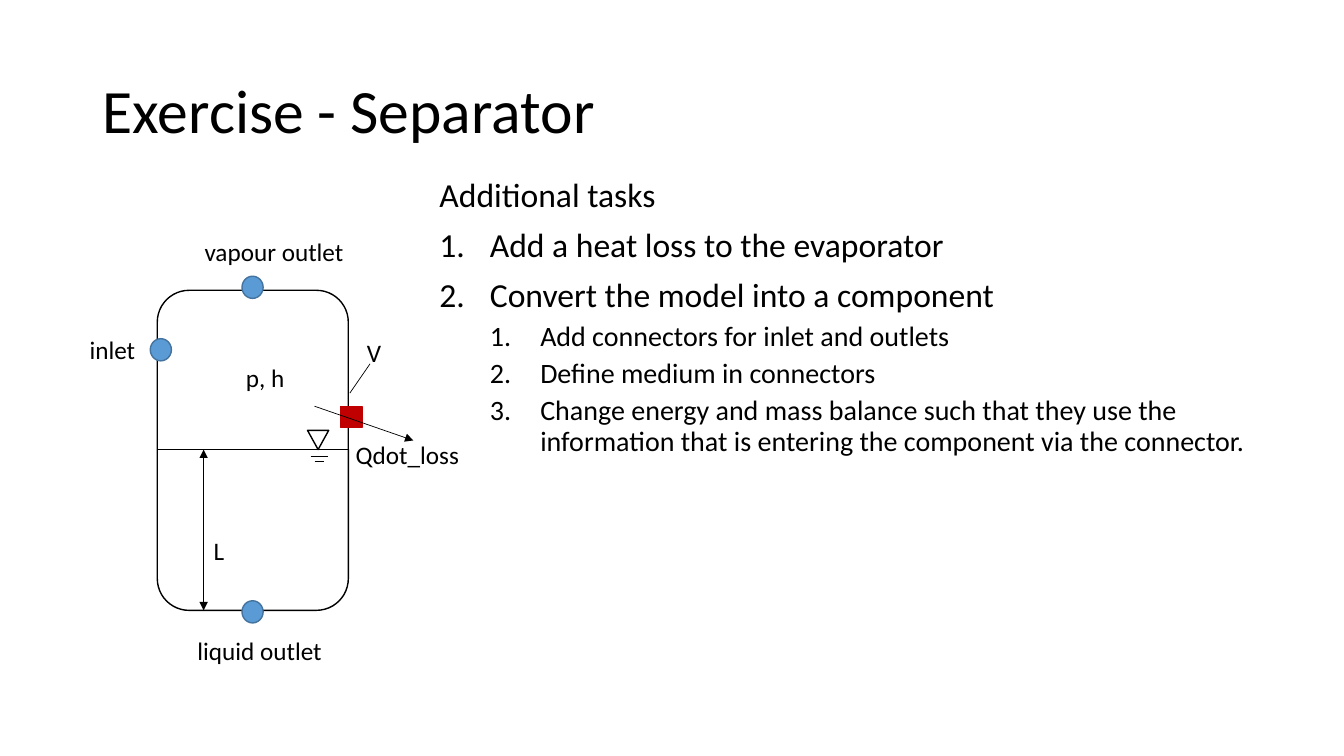
import pptx
import pptx.util
import pptx.dml.color
import pptx.enum.shapes
import pptx.enum.text
import pptx.oxml.ns
import lxml.etree

COLOURS = {
    "ink": "000000",
    "paper": "FFFFFF",
    "port": "5B9BD5",
    "port edge": "43739E",
    "heat": "C00000",
}
SHAPES = pptx.enum.shapes.MSO_SHAPE
ALIGN_LEFT = pptx.enum.text.PP_ALIGN.LEFT
NO_FIT = pptx.enum.text.MSO_AUTO_SIZE.NONE


def add_xml(parent, tag, **attributes):
    return lxml.etree.SubElement(parent, pptx.oxml.ns.qn(tag), attributes)


def colour(name):
    return pptx.dml.color.RGBColor.from_string(COLOURS[name])


class SlideBuilder:
    """Places elements on a grid of 0.1 inch columns and rows."""

    cell = 0.1
    font = "Calibri"

    def __init__(self, deck):
        layout = deck.slide_layouts.get_by_name("Title Only")
        self.page = deck.slides.add_slide(layout)

    def grid(self, *cells):
        return [pptx.util.Inches(count * self.cell) for count in cells]

    def style_text(self, para, size):
        para.alignment = ALIGN_LEFT
        para.font.name = self.font
        para.font.size = pptx.util.Pt(size)
        para.font.color.rgb = colour("ink")

    def title(self, text, left, top, width, height):
        box = self.page.shapes.title
        box.left, box.top, box.width, box.height = self.grid(left, top, width, height)
        frame = box.text_frame
        frame.text = text
        frame.auto_size = NO_FIT
        frame.vertical_anchor = pptx.enum.text.MSO_ANCHOR.MIDDLE
        frame.paragraphs[0].line_spacing = 0.9
        self.style_text(frame.paragraphs[0], 44)

    def tasks(self, items, left, top, width, height):
        """Each item is (level, text); level None is an unnumbered heading."""
        box = self.page.shapes.add_textbox(*self.grid(left, top, width, height))
        frame = box.text_frame
        frame.word_wrap = True
        for index, (level, text) in enumerate(items):
            para = frame.add_paragraph() if index else frame.paragraphs[0]
            para.text = text
            para.level = level or 0
            para.line_spacing = 0.9
            para.space_before = pptx.util.Pt(5 if level else 10)
            self.style_text(para, 20 if level else 24)
            if level is not None:
                indent = pptx.util.Inches(0.5)
                properties = para._p.get_or_add_pPr()
                properties.set("marL", str(indent * (level + 1)))
                properties.set("indent", str(-indent))
                add_xml(properties, "a:buFont", typeface="+mj-lt")
                add_xml(properties, "a:buAutoNum", type="arabicPeriod")

    def label(self, text, left, top, width):
        box = self.page.shapes.add_textbox(*self.grid(left, top, width, 4))
        frame = box.text_frame
        frame.word_wrap = False
        frame.auto_size = pptx.enum.text.MSO_AUTO_SIZE.SHAPE_TO_FIT_TEXT
        frame.text = text
        self.style_text(frame.paragraphs[0], 18)

    def shape(self, kind, left, top, width, height, fill="paper", edge="ink"):
        shape = self.page.shapes.add_shape(kind, *self.grid(left, top, width, height))
        shape.shadow.inherit = False
        shape.fill.solid()
        shape.fill.fore_color.rgb = colour(fill)
        shape.line.color.rgb = colour(edge)
        shape.line.width = pptx.util.Pt(1)
        return shape

    def line(self, start, end, weight=1, arrows=()):
        line = self.page.shapes.add_connector(
            pptx.enum.shapes.MSO_CONNECTOR.STRAIGHT, *self.grid(*start, *end))
        line.line.color.rgb = colour("ink")
        line.line.width = pptx.util.Pt(weight)
        for arrow in arrows:
            add_xml(line.line._get_or_add_ln(), f"a:{arrow}End", type="triangle")
        add_xml(line._element.spPr, "a:effectLst")


def main():
    deck = pptx.Presentation()
    deck.slide_width = pptx.util.Inches(13.33)
    deck.slide_height = pptx.util.Inches(7.5)
    slide = SlideBuilder(deck)

    # Title and task list
    slide.title("Exercise - Separator", 9.2, 4, 115, 14.5)
    slide.tasks([
        (None, "Additional tasks"),
        (0, "Add a heat loss to the evaporator"),
        (0, "Convert the model into a component"),
        (1, "Add connectors for inlet and outlets"),
        (1, "Define medium in connectors"),
        (1, "Change energy and mass balance such that they use the "
            "information that is entering the component via the connector."),
    ], 42.6, 17.2, 85.5, 53.4)

    # Vessel and liquid level
    left, top, width, height = 15.6, 28.8, 18.95, 31.75
    level = 44.6
    slide.shape(SHAPES.ROUNDED_RECTANGLE, left, top, width, height)
    slide.line((left, level), (left + width, level))

    # Level symbol
    marker = slide.shape(SHAPES.ISOSCELES_TRIANGLE, 30.5, 42.7, 2.1, 1.9)
    marker.rotation = 180
    for row, half in ((45.3, 0.85), (45.8, 0.45)):
        slide.line((31.65 - half, row), (31.65 + half, row))

    # Level dimension and volume pointer
    slide.line((20.2, level), (20.2, top + height), 0.5, ("head", "tail"))
    slide.line((36.7, 36.1), (34.7, 39), 0.5)

    # Ports
    for port_left, port_top in ((14.9, 33.6), (24, 27.4), (24, 59.6)):
        slide.shape(SHAPES.OVAL, port_left, port_top, 2.1, 2.2, "port", "port edge")

    # Heat loss
    slide.shape(SHAPES.RECTANGLE, 33.8, 40.3, 2.1, 2.1, "heat", "heat")
    slide.line((31.2, 40.3), (41, 43.7), 0.5, ("tail",))

    # Labels
    for text, label_left, label_top, label_width in (
        ("inlet", 7.9, 32.7, 6.6),
        ("vapour outlet", 19.3, 23, 16.2),
        ("liquid outlet", 18.6, 62.5, 14.5),
        ("p, h", 23.4, 35.5, 5.9),
        ("L", 20.2, 52.6, 3.1),
        ("V", 35.4, 33, 3.5),
        ("Qdot_loss", 34.3, 43.1, 12.4),
    ):
        slide.label(text, label_left, label_top, label_width)

    deck.save("out.pptx")


if __name__ == "__main__":
    main()
